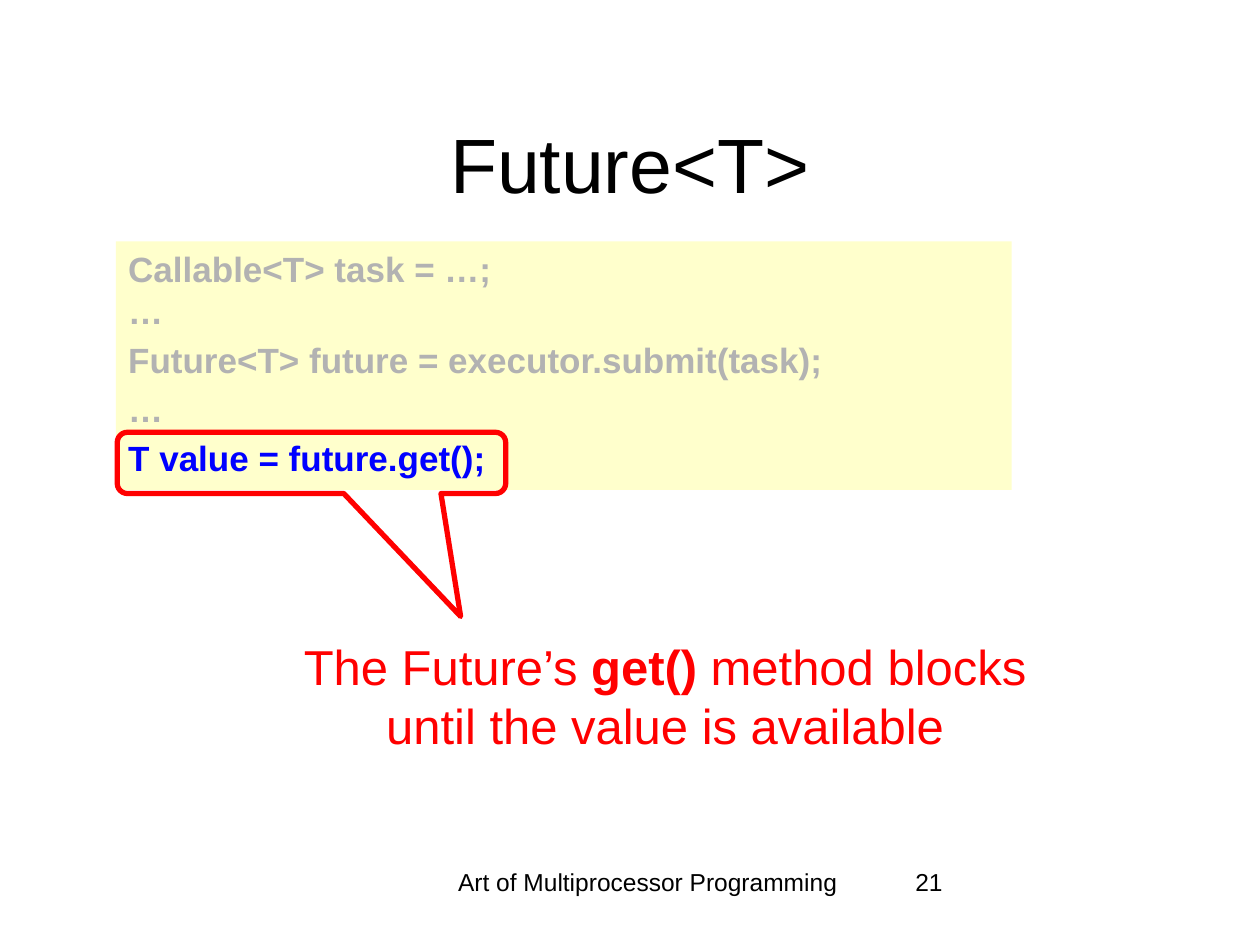
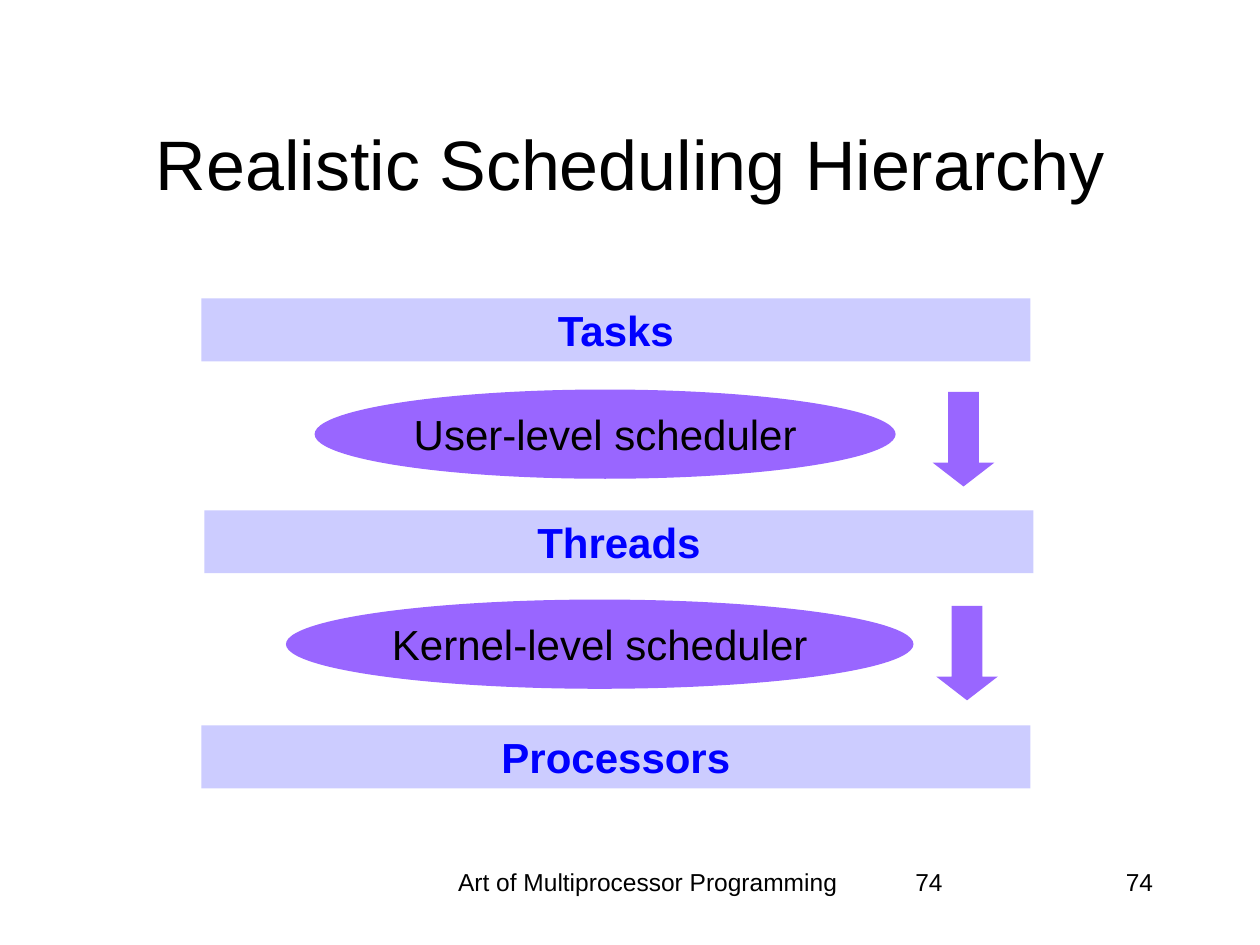
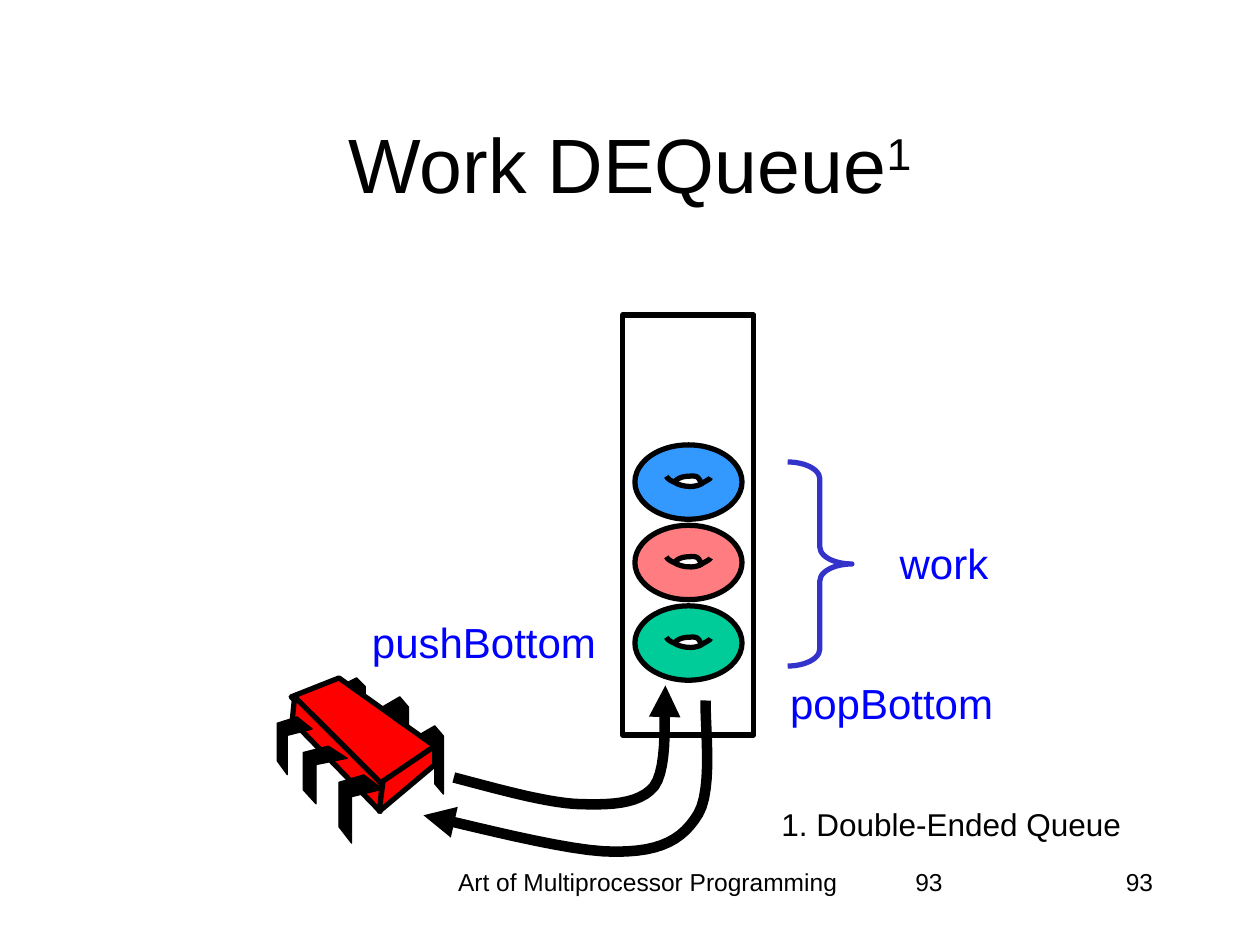
from dataclasses import dataclass

from lxml import etree
from pptx import Presentation
from pptx.dml.color import RGBColor
from pptx.enum import shapes, text
from pptx.oxml import ns
from pptx.util import Pt

MSO = shapes.MSO_SHAPE
ALIGN = text.PP_ALIGN
ANCHOR = text.MSO_ANCHOR


@dataclass(frozen=True)
class Theme:
    """Colours, type sizes and line widths shared by the slides."""
    font: str = "Arial"
    black: str = "000000"
    white: str = "FFFFFF"
    blue: str = "0000FF"
    red: str = "FF0000"
    muted: str = "B2B2B2"
    code_fill: str = "FFFFCC"
    level_fill: str = "CCCCFF"
    scheduler_fill: str = "9966FF"
    brace: str = "3333CC"
    tasks: tuple = ("3399FF", "FF7C80", "00CC99")
    title: int = 44
    long_title: int = 40
    note: int = 28
    label: int = 24
    code: int = 20
    remark: int = 18
    footer: int = 14
    hairline: float = 0.75
    line: int = 3
    arrow: int = 6


T = Theme()


def write(p, words, size=T.label, color=T.black, bold=False, baseline=None):
    """Add a formatted run to a paragraph."""
    r = p.add_run()
    r.text = words
    r.font.name, r.font.size, r.font.bold = T.font, Pt(size), bold
    r.font.color.rgb = RGBColor.from_string(color)
    if baseline:
        r._r.get_or_add_rPr().set("baseline", str(baseline * 1000))


def paint(sp, fill=None, line=None, width=T.line):
    """Set the fill and line of a shape and drop its shadow."""
    sp.shadow.inherit = False
    if fill:
        sp.fill.solid()
        sp.fill.fore_color.rgb = RGBColor.from_string(fill)
    else:
        sp.fill.background()
    if line:
        sp.line.color.rgb = RGBColor.from_string(line)
        sp.line.width = Pt(width)
    else:
        sp.line.fill.background()
    return sp


def preset(parent, kind, box, adj=(), **look):
    """Add a painted preset shape in a box."""
    sp = parent.shapes.add_shape(kind, *map(Pt, box))
    for i, value in enumerate(adj):
        sp.adjustments[i] = value
    return paint(sp, **look)


def caption(sp, words, align=ALIGN.CENTER, wrap=True, anchor=ANCHOR.MIDDLE, **fmt):
    """Put one line of text in a shape."""
    tf = sp.text_frame
    tf.word_wrap, tf.vertical_anchor = wrap, anchor
    p = tf.paragraphs[0]
    p.alignment = align
    write(p, words, **fmt)
    return p


def label(s, box, words, **fmt):
    """Add a text box holding one paragraph."""
    return caption(s.shapes.add_textbox(*map(Pt, box)), words,
                   anchor=ANCHOR.TOP, **fmt)


def outline(parent, origin, points, close=True, **look):
    """Draw a freeform through points measured from an origin."""
    x, y = origin
    pts = [(Pt(x + dx), Pt(y + dy)) for dx, dy in points]
    builder = parent.shapes.build_freeform(*pts[0])
    builder.add_line_segments(pts[1:], close=close)
    return paint(builder.convert_to_shape(), **look)


def curve(start, *cubics, steps=12):
    """Return points along a chain of cubic Bezier curves."""
    pts = [start]
    for a, b, c in cubics:
        o = pts[-1]
        for i in range(1, steps + 1):
            t = i / steps
            v = 1 - t
            pts.append(tuple(v**3 * o[k] + 3 * v * v * t * a[k]
                             + 3 * v * t * t * b[k] + t**3 * c[k] for k in (0, 1)))
    return pts


def arrowhead(sp, end):
    """Put a triangle at the headEnd or tailEnd of a line."""
    etree.SubElement(sp.line._get_or_add_ln(), ns.qn("a:" + end), type="triangle")


def new_slide(prs, title, page, size=T.title, pages=(ALIGN.LEFT, ALIGN.RIGHT)):
    """Add a slide with its title, footer and page numbers."""
    s = prs.slides.add_slide(prs.slide_layouts[5])
    sp = s.shapes.title
    sp.left, sp.top, sp.width, sp.height = map(Pt, (54, 48, 612, 90))
    p = caption(sp, title, size=size)
    label(s, (246, 492, 248.4, 36), "Art of Multiprocessor Programming", size=T.footer)
    for align in pages:
        label(s, (516, 492, 150, 36), str(page), align=align, size=T.footer)
    return s, p


def code_block(s, box, lines):
    """Draw code lines with the last one highlighted by a callout."""
    x, y, w, h = box
    sp = preset(s, MSO.RECTANGLE, box, fill=T.code_fill)
    tf = sp.text_frame
    tf.word_wrap, tf.vertical_anchor = True, ANCHOR.TOP
    for i, line in enumerate(lines):
        p = tf.add_paragraph() if i else tf.paragraphs[0]
        p.alignment = ALIGN.LEFT
        p.space_before = Pt(4 if i > 1 else 0)
        last = i == len(lines) - 1
        write(p, line, size=T.code, bold=True, color=T.blue if last else T.muted)
    preset(s, MSO.ROUNDED_RECTANGULAR_CALLOUT, (x + 0.8, y + 109, 222, 35),
           adj=(0.384, 2.507, 0.167), line=T.red)


def hierarchy(s, box):
    """Stack the levels with a scheduler and an arrow between them."""
    x, y, w, h = box
    bars = (("Tasks", 0, 0), ("Threads", 1.8, 121), ("Processors", 0, 244))
    for name, dx, dy in bars:
        sp = preset(s, MSO.RECTANGLE, (x + dx, y + dy, w, 36), fill=T.level_fill)
        caption(sp, name, color=T.blue, bold=True)
    schedulers = (("User-level scheduler", 64.8, 52, 332),
                  ("Kernel-level scheduler", 48.4, 172, 358.6))
    for name, dx, dy, width in schedulers:
        sp = preset(s, MSO.OVAL, (x + dx, y + dy, width, 51), fill=T.scheduler_fill)
        caption(sp, name, wrap=False)
    for dx, dy in ((418, 53.4), (420, 175.6)):
        preset(s, MSO.DOWN_ARROW, (x + dx, y + dy, 35.2, 54), adj=(0.5, 0.386),
               fill=T.scheduler_fill)


def chip(s, origin):
    """Draw the processor chip with three legs on each side."""
    x, y = origin
    g = s.shapes.add_group_shape()
    back = ((0, .15), (.67, 0), (1, .15), (1, 1), (.67, .85), (.67, .29), (0, .43))
    front = ((.57, 0), (1, .21), (.29, .32), (.29, 1), (0, .76), (0, .11))

    def legs(profile, boxes):
        for dx, dy, w, h in boxes:
            outline(g, (x + dx, y + dy), [(w * u, h * v) for u, v in profile],
                    fill=T.black, line=T.black, width=T.hairline)

    legs(back, ((80, 27.4, 15, 39), (60, 10.8, 15, 39), (35.3, 0, 15, 33)))
    faces = (((35.3, 0), (90, 39), (59, 61.2), (8, 10.8)),
             ((10, 10.8), (59.8, 60.5), (59, 76.3), (8.6, 24.5)),
             ((90, 39), (90, 49.7), (58.3, 76.3), (60.5, 59)))
    for face in faces:
        outline(g, origin, face, fill=T.red, line=T.black)
    legs(front, ((35.3, 55.4, 25, 39), (15, 39, 25, 33), (0, 22.3, 20, 33)))


def task(s, box, color):
    """Draw one ring-shaped task."""
    origin = box[:2]
    g = s.shapes.add_group_shape()
    preset(g, MSO.OVAL, box, fill=color, line=T.black)
    hole = curve((23, 21.6), ((25, 23.5), (36, 24.5), (38.2, 23)),
                 ((36, 18), (34, 18), (33, 18)), ((28, 18), (25, 19), (23, 21.6)))
    upper = curve((22.3, 21.6), ((24.5, 19), (27, 18.2), (30.2, 18)),
                  ((36, 17.6), (36, 18), (38.2, 22.3)))
    lower = curve((18, 18), ((19.5, 20.5), (22, 21), (23, 21.6)),
                  ((26.5, 24), (35, 25), (39, 21.6)), ((41, 20.5), (43, 19.5), (43.2, 18.7)))
    outline(g, origin, hole, fill=T.white, line=T.black, width=T.hairline)
    for rim in (upper, lower):
        outline(g, origin, rim, close=False, line=T.black)


def deque(s, box):
    """Draw the queue, its tasks and the brace around them."""
    x, y, w, h = box
    preset(s, MSO.RECTANGLE, box, line=T.black)
    for i, color in enumerate(T.tasks):
        task(s, (x + 7, y + 74.2 + 46 * i, 61.2, 42.5), color)
    preset(s, MSO.RIGHT_BRACE, (x + 94.3, y + 84, 36.7, 116.6), adj=(0.264, 0.5),
           line=T.brace)
    for name, dx, dy, width in (("pushBottom", -152.7, 168.5, 147),
                                ("popBottom", 86.4, 203.8, 134.6),
                                ("work", 149.8, 123.8, 67.7)):
        label(s, (x + dx, y + dy, width, 36), name, wrap=False, color=T.blue)


def transfers(s, origin):
    """Draw the push and pop arrows between chip and queue."""
    push = curve((17.3, 52.6), ((41.8, 59), (67, 66.2), (86.4, 67.7)),
                 ((105, 68.4), (123, 68.4), (131.8, 57.6)),
                 ((140.4, 46), (136.8, 12.2), (138.2, 0)))
    pop = curve((0, 74.2), ((18.7, 77.8), (84.2, 95.8), (110.2, 95)),
                ((136, 95), (148.3, 87.8), (157, 73.4)),
                ((165.6, 59), (160.6, 21.6), (161.3, 8.6)))
    for path, end in ((push, "tailEnd"), (pop, "headEnd")):
        sp = outline(s, origin, path, close=False, line=T.black, width=T.arrow)
        arrowhead(sp, end)


def future_slide(prs):
    """Build the slide on waiting for a future's value."""
    s, _ = new_slide(prs, "Future<T>", 21, pages=(ALIGN.LEFT,))
    code_block(s, (66.2, 138, 512, 142),
               ("Callable<T> task = …;", "…", "Future<T> future = executor.submit(task);",
                "…", "T value = future.get();"))
    p = label(s, (155, 360, 450, 74), "The Future’s ", size=T.note, color=T.red)
    write(p, "get()", size=T.note, color=T.red, bold=True)
    write(p, " method blocks until the value is available", size=T.note, color=T.red)


def hierarchy_slide(prs):
    """Build the slide on scheduling levels."""
    s, _ = new_slide(prs, "Realistic Scheduling Hierarchy", 74, size=T.long_title)
    hierarchy(s, (115, 170.6, 473.8, 280))


def deque_slide(prs):
    """Build the slide on the work queue."""
    s, p = new_slide(prs, "Work DEQueue", 93)
    write(p, "1", size=T.title, baseline=30)
    deque(s, (355.8, 180, 75, 240))
    chip(s, (158.4, 387.4))
    transfers(s, (242, 391.7))
    label(s, (439.2, 456.5, 208.8, 28.8), "1. Double-Ended Queue", wrap=False,
          size=T.remark)


def main():
    """Build and save the deck."""
    prs = Presentation()
    prs.slide_width, prs.slide_height = Pt(720), Pt(540)
    for build in (future_slide, hierarchy_slide, deque_slide):
        build(prs)
    prs.save("out.pptx")


if __name__ == "__main__":
    main()
